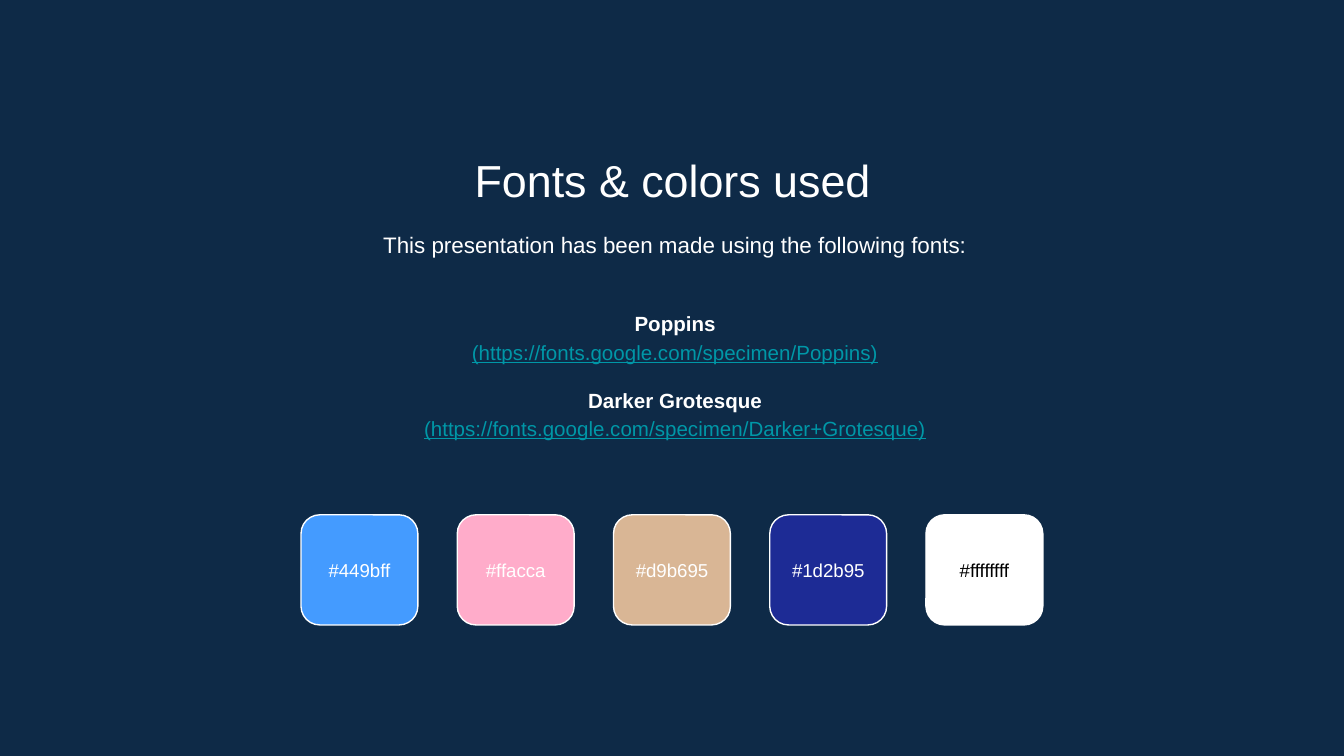
from dataclasses import dataclass

import pptx
import pptx.dml.color
import pptx.enum.shapes
import pptx.enum.text
import pptx.util

Pt = pptx.util.Pt
RGBColor = pptx.dml.color.RGBColor
Anchor = pptx.enum.text.MSO_ANCHOR

NAVY = RGBColor(0x0E, 0x2A, 0x47)
WHITE = RGBColor(0xFF, 0xFF, 0xFF)
BLACK = RGBColor(0x00, 0x00, 0x00)
TEAL = RGBColor(0x00, 0x97, 0xA7)
BLUE = RGBColor(0x44, 0x9B, 0xFF)
PINK = RGBColor(0xFF, 0xAC, 0xCA)
TAN = RGBColor(0xD9, 0xB6, 0x95)
INDIGO = RGBColor(0x1D, 0x2B, 0x95)

FONT = "Arial"
INSET = Pt(7.2)
SWATCH_LEFT, SWATCH_TOP, SWATCH_STEP = 161.3, 275.8, 83.7
SWATCH_WIDTH, SWATCH_HEIGHT = 62.6, 59
LABEL_TOP, LABEL_HEIGHT = 288, 34.6


@dataclass
class Line:
    text: str
    size: float
    color: RGBColor = WHITE
    bold: bool = False
    underline: bool = False
    space_before: float = 0


@dataclass
class TextBlock:
    left: float
    top: float
    width: float
    height: float
    lines: list[Line]
    anchor: Anchor = Anchor.TOP
    line_spacing: float = 1.0


@dataclass
class Swatch:
    label: str
    fill: RGBColor
    label_color: RGBColor = WHITE


TEXT_BLOCKS = [
    TextBlock(82.8, 74.9, 555, 38.2, [Line("Fonts & colors used", 24)]),
    TextBlock(84.2, 114.5, 555, 34.6,
              [Line("This presentation has been made using the following fonts:", 12)],
              line_spacing=1.15),
    TextBlock(84.2, 151.2, 555, 98.6, [
        Line("Poppins", 11, bold=True),
        Line("(https://fonts.google.com/specimen/Poppins)", 11, TEAL, underline=True),
        Line("Darker Grotesque", 11, bold=True, space_before=10.6),
        Line("(https://fonts.google.com/specimen/Darker+Grotesque)", 11, TEAL, underline=True),
    ], Anchor.MIDDLE, 1.15),
]

SWATCHES = [
    Swatch("#449bff", BLUE),
    Swatch("#ffacca", PINK),
    Swatch("#d9b695", TAN),
    Swatch("#1d2b95", INDIGO),
    Swatch("#ffffffff", WHITE, BLACK),
]


def set_attributes(target: object, values: dict) -> None:
    for name, value in values.items():
        setattr(target, name, value)


def add_text(slide: pptx.slide.Slide, block: TextBlock) -> None:
    shape = slide.shapes.add_textbox(
        Pt(block.left), Pt(block.top), Pt(block.width), Pt(block.height))
    frame = shape.text_frame
    set_attributes(frame, {
        "word_wrap": True,
        "vertical_anchor": block.anchor,
        "margin_left": INSET,
        "margin_top": INSET,
        "margin_right": INSET,
        "margin_bottom": INSET,
    })
    for index, line in enumerate(block.lines):
        paragraph = frame.add_paragraph() if index else frame.paragraphs[0]
        set_attributes(paragraph, {
            "alignment": pptx.enum.text.PP_ALIGN.CENTER,
            "line_spacing": block.line_spacing,
            "space_before": Pt(line.space_before),
        })
        run = paragraph.add_run()
        run.text = line.text
        set_attributes(run.font, {
            "name": FONT,
            "size": Pt(line.size),
            "bold": line.bold,
            "underline": line.underline,
        })
        run.font.color.rgb = line.color


def add_swatch(slide: pptx.slide.Slide, swatch: Swatch, left: float) -> None:
    shape = slide.shapes.add_shape(
        pptx.enum.shapes.MSO_SHAPE.ROUNDED_RECTANGLE,
        Pt(left), Pt(SWATCH_TOP), Pt(SWATCH_WIDTH), Pt(SWATCH_HEIGHT))
    shape.shadow.inherit = False
    shape.adjustments[0] = 0.17
    shape.fill.solid()
    shape.fill.fore_color.rgb = swatch.fill
    shape.line.color.rgb = WHITE
    shape.line.width = Pt(0.75)
    add_text(slide, TextBlock(
        left, LABEL_TOP, SWATCH_WIDTH, LABEL_HEIGHT,
        [Line(swatch.label, 10, swatch.label_color)], Anchor.MIDDLE))


def main() -> None:
    presentation = pptx.Presentation()
    set_attributes(presentation, {"slide_width": Pt(720), "slide_height": Pt(405)})
    slide = presentation.slides.add_slide(presentation.slide_layouts[6])
    slide.background.fill.solid()
    slide.background.fill.fore_color.rgb = NAVY
    for block in TEXT_BLOCKS:
        add_text(slide, block)
    for index, swatch in enumerate(SWATCHES):
        add_swatch(slide, swatch, SWATCH_LEFT + index * SWATCH_STEP)
    presentation.save("out.pptx")


if __name__ == "__main__":
    main()
